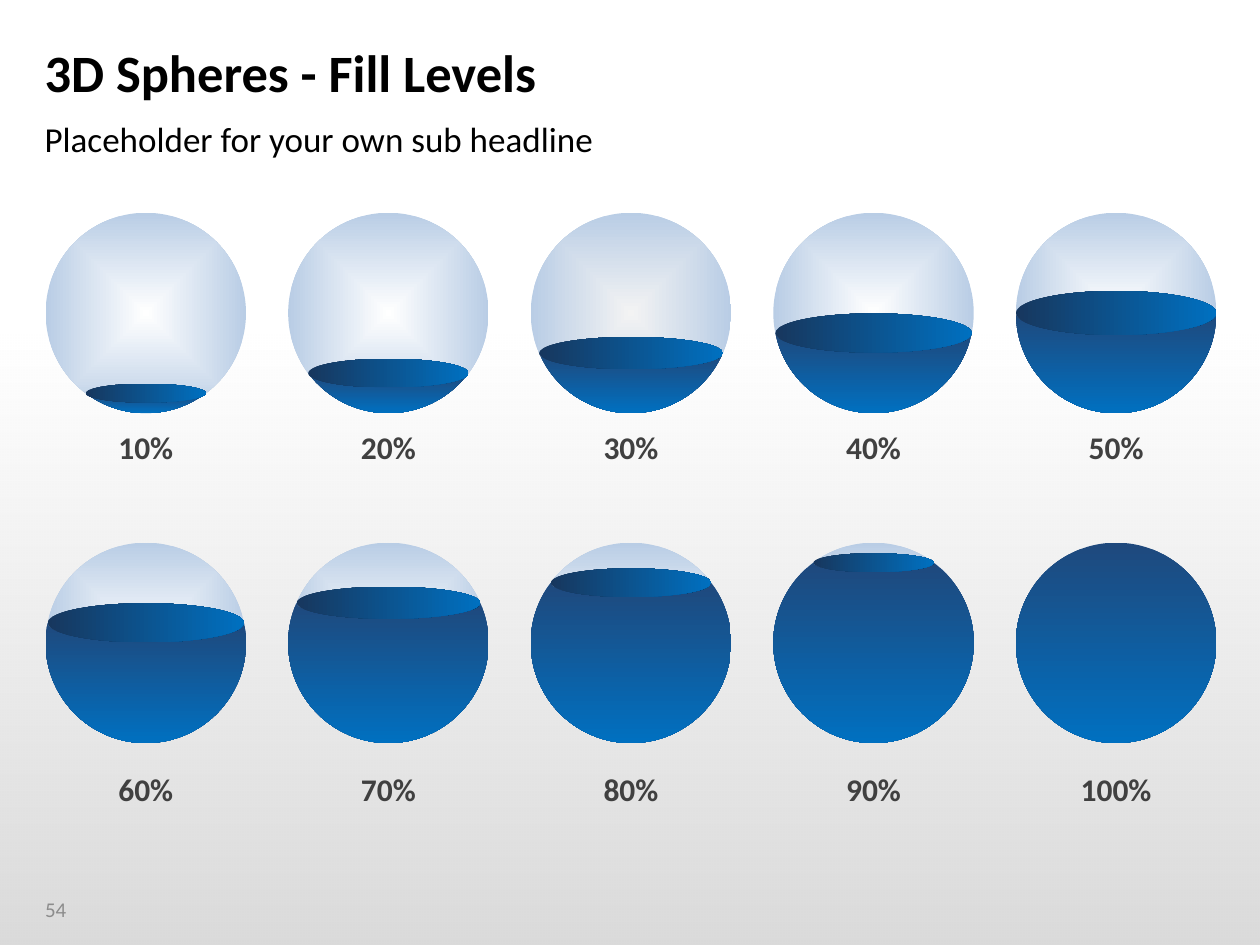
from dataclasses import dataclass
from itertools import pairwise
from math import asin, cos, pi, sin, sqrt, tan

from lxml.etree import SubElement
from pptx import Presentation
from pptx.dml.color import RGBColor
from pptx.enum.shapes import MSO_SHAPE
from pptx.enum.text import MSO_ANCHOR, MSO_AUTO_SIZE, PP_ALIGN
from pptx.oxml.ns import qn
from pptx.util import Cm, Pt


@dataclass(frozen=True)
class Theme:
    font: str = "Calibri"
    black: str = "000000"
    label: str = "404040"
    gray: str = "8C8C8C"
    white: str = "FFFFFF"
    pale: str = "F3F3F3"
    glass: str = "B9CDE5"
    deep: str = "1F497D"
    dark: str = "17375E"
    blue: str = "0070C0"
    head: int = 30
    sub: int = 20
    mark: int = 18
    page: int = 12


@dataclass(frozen=True)
class Ball:
    level: int
    left: float
    top: float
    text_top: float
    core: str


@dataclass(frozen=True)
class Line:
    text: str
    box: tuple[float, float, float, float]
    size: int
    color: str
    bold: bool = False
    inset: tuple[float, float, float, float] = (0, 0, 0, 0)
    anchor: MSO_ANCHOR = MSO_ANCHOR.TOP
    align: PP_ALIGN = PP_ALIGN.LEFT
    space: float = 1.0
    after: int = 0
    wrap: bool = True


THEME = Theme()
SIZE = 4.04            # ball diameter, cm
LEFT, PITCH = 0.92, 4.89
ROWS = ((4.29, 8.68), (10.94, 15.58))  # ball top, label top
DEPTH = {10: 0.38, 20: 0.58, 30: 0.65, 40: 0.79, 50: 0.89}


def shade(shape, start: str, end: str, angle: float = 270) -> None:
    """Linear gradient without outline or shadow."""
    shape.shadow.inherit = False
    shape.line.fill.background()
    shape.fill.gradient()
    shape.fill.gradient_angle = angle
    for stop, color, spot in zip(shape.fill.gradient_stops, (start, end), (0, 1)):
        stop.color.rgb = RGBColor.from_string(color)
        stop.position = spot


def glow(shape) -> None:
    """Turn the linear gradient into one that spreads from the middle."""
    lin = next(shape.element.iter(qn("a:lin")))
    grad = lin.getparent()
    grad.remove(lin)
    path = SubElement(grad, qn("a:path"), path="shape")
    SubElement(path, qn("a:fillToRect"), l="50000", t="50000", r="50000", b="50000")


def fade(shape, alphas: tuple[int, int]) -> None:
    """Set the opacity of both gradient stops, in percent."""
    for color, alpha in zip(shape.element.iter(qn("a:srgbClr")), alphas):
        SubElement(color, qn("a:alpha"), val=str(alpha * 1000))


def oval(shapes, left: float, top: float, width: float, height: float):
    return shapes.add_shape(MSO_SHAPE.OVAL, Cm(left), Cm(top), Cm(width), Cm(height))


def arc(x: float, y: float, rx: float, ry: float, turns: list[float]) -> list:
    """Bezier points, three for each step between the given angles."""
    points = []
    for a, b in pairwise(turns):
        k = 4 / 3 * tan((b - a) / 4)
        points += [(x + rx * (cos(a) - k * sin(a)), y + ry * (sin(a) + k * cos(a))),
                   (x + rx * (cos(b) + k * sin(b)), y + ry * (sin(b) - k * cos(b))),
                   (x + rx * cos(b), y + ry * sin(b))]
    return points


def bend(shape) -> None:
    """Join each three straight steps of the outline into one curve."""
    steps = list(shape.element.iter(qn("a:lnTo")))
    for i in range(0, len(steps), 3):
        curve = steps[i].makeelement(qn("a:cubicBezTo"))
        steps[i].addprevious(curve)
        for step in steps[i:i + 3]:
            curve.append(step[0])
            step.getparent().remove(step)


def write(shapes, line: Line) -> None:
    box = shapes.add_textbox(*(Cm(n) for n in line.box))
    frame = box.text_frame
    frame.word_wrap = line.wrap
    frame.auto_size = MSO_AUTO_SIZE.NONE if line.wrap else MSO_AUTO_SIZE.SHAPE_TO_FIT_TEXT
    frame.vertical_anchor = line.anchor
    (frame.margin_left, frame.margin_top,
     frame.margin_right, frame.margin_bottom) = (Cm(n) for n in line.inset)
    para = frame.paragraphs[0]
    para.alignment = line.align
    para.line_spacing = line.space
    para.space_after = Pt(line.after)
    run = para.add_run()
    run.text = line.text
    run.font.name = THEME.font
    run.font.size = Pt(line.size)
    run.font.bold = line.bold
    run.font.color.rgb = RGBColor.from_string(line.color)


def pour(shapes, ball: Ball) -> None:
    """Draw the liquid: a cut circle with an oval surface on top."""
    rad = SIZE / 2
    x, y = ball.left + rad, ball.top + rad
    drop = rad - SIZE * ball.level / 100
    half = sqrt(rad ** 2 - drop ** 2)
    depth = DEPTH[min(ball.level, 100 - ball.level)]
    flat = y + drop

    # Around the bottom of the circle, then back along the surface's front
    start = asin(drop / rad)
    turns = [start, pi / 2, pi - start]
    if start < 0:
        turns = [start, 0, pi / 2, pi, pi - start]
    edge = arc(x, y, rad, rad, turns)
    edge += arc(x, flat, half, depth / 2, [pi, pi / 2, 0])
    build = shapes.build_freeform(Cm(x + half), Cm(flat))
    build.add_line_segments([(Cm(px), Cm(py)) for px, py in edge])
    body = build.convert_to_shape()
    bend(body)
    shade(body, THEME.deep, THEME.blue)

    top = oval(shapes, x - half, flat - depth / 2, 2 * half, depth)
    shade(top, THEME.dark, THEME.blue, 0)


def draw(slide, ball: Ball) -> None:
    shapes = slide.shapes.add_group_shape().shapes
    globe = oval(shapes, ball.left, ball.top, SIZE, SIZE)
    if ball.level == 100:
        shade(globe, THEME.deep, THEME.blue)
    else:
        shade(globe, ball.core, THEME.glass)
        glow(globe)
        pour(shapes, ball)
    width = 1.45 if ball.level == 100 else 1.12
    write(shapes, Line(f"{ball.level}%",
                       (ball.left + (SIZE - width) / 2, ball.text_top, width, 0.74),
                       THEME.mark, THEME.label, bold=True, align=PP_ALIGN.CENTER,
                       space=0.95, after=8, wrap=False))


def main() -> None:
    deck = Presentation()
    deck.slide_width, deck.slide_height = Cm(25.4), Cm(19.05)
    slide = deck.slides.add_slide(deck.slide_layouts[6])

    # Shaded floor
    floor = slide.shapes.add_shape(MSO_SHAPE.RECTANGLE, 0, Cm(6.58), Cm(25.4), Cm(12.47))
    shade(floor, THEME.black, THEME.black)
    fade(floor, (0, 15))

    # Page number and headings
    for line in (
        Line("54", (0.66, 17.81, 1.63, 1.02), THEME.page, THEME.gray,
             inset=(0.25, 0.13, 0.25, 0.13), anchor=MSO_ANCHOR.MIDDLE),
        Line("3D Spheres - Fill Levels", (0.9, 0.68, 23.6, 1.7), THEME.head,
             THEME.black, bold=True, inset=(0, 0.13, 0.25, 0.13),
             anchor=MSO_ANCHOR.MIDDLE, space=0.9),
        Line("Placeholder for your own sub headline", (0.9, 2.37, 23.6, 0.94),
             THEME.sub, THEME.black),
    ):
        write(slide.shapes, line)

    # Two rows of five balls, 10% to 100%
    for i in range(10):
        row, col = divmod(i, 5)
        core = THEME.pale if i == 2 else THEME.white
        draw(slide, Ball(10 * (i + 1), LEFT + col * PITCH, *ROWS[row], core))

    deck.save("out.pptx")


if __name__ == "__main__":
    main()
